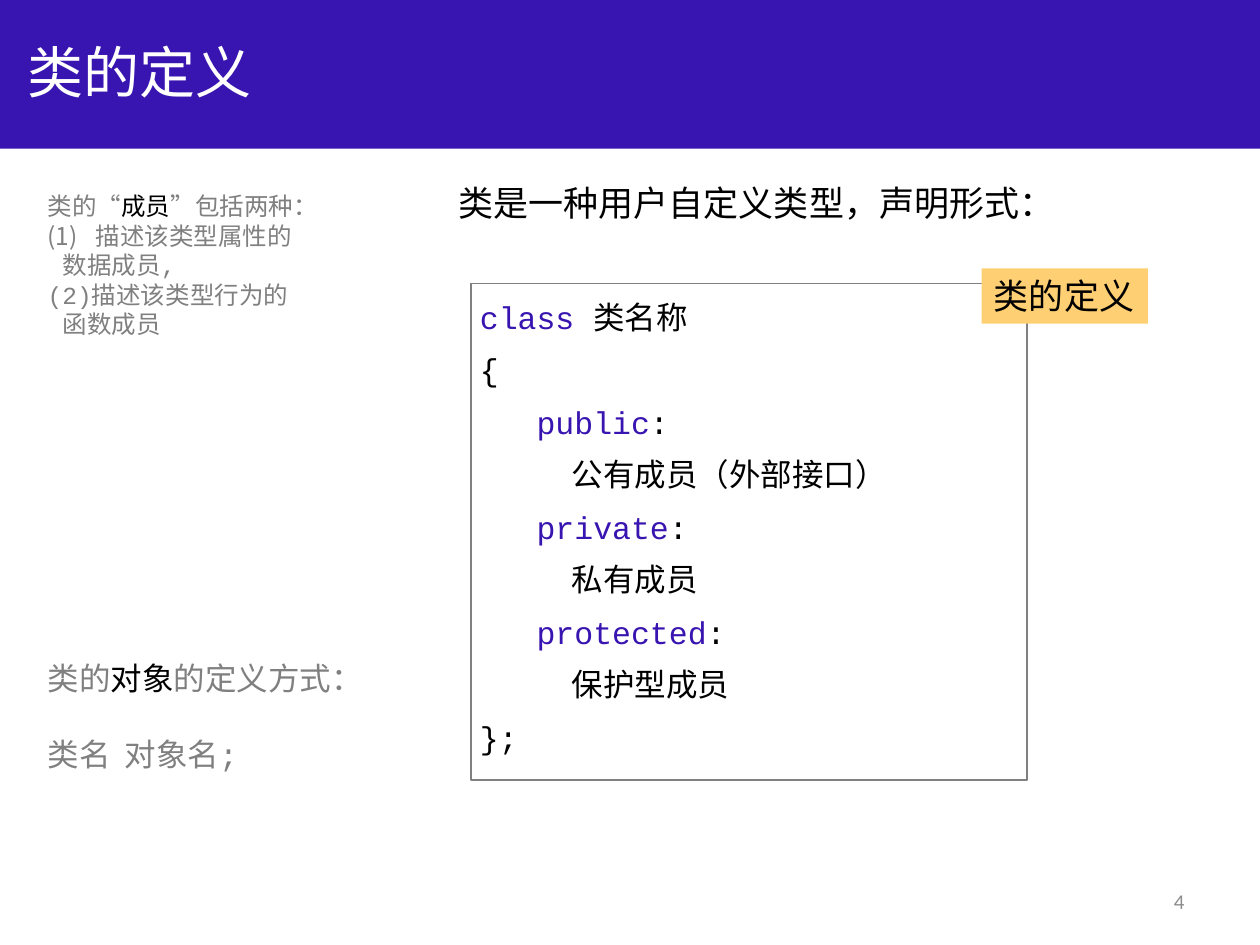
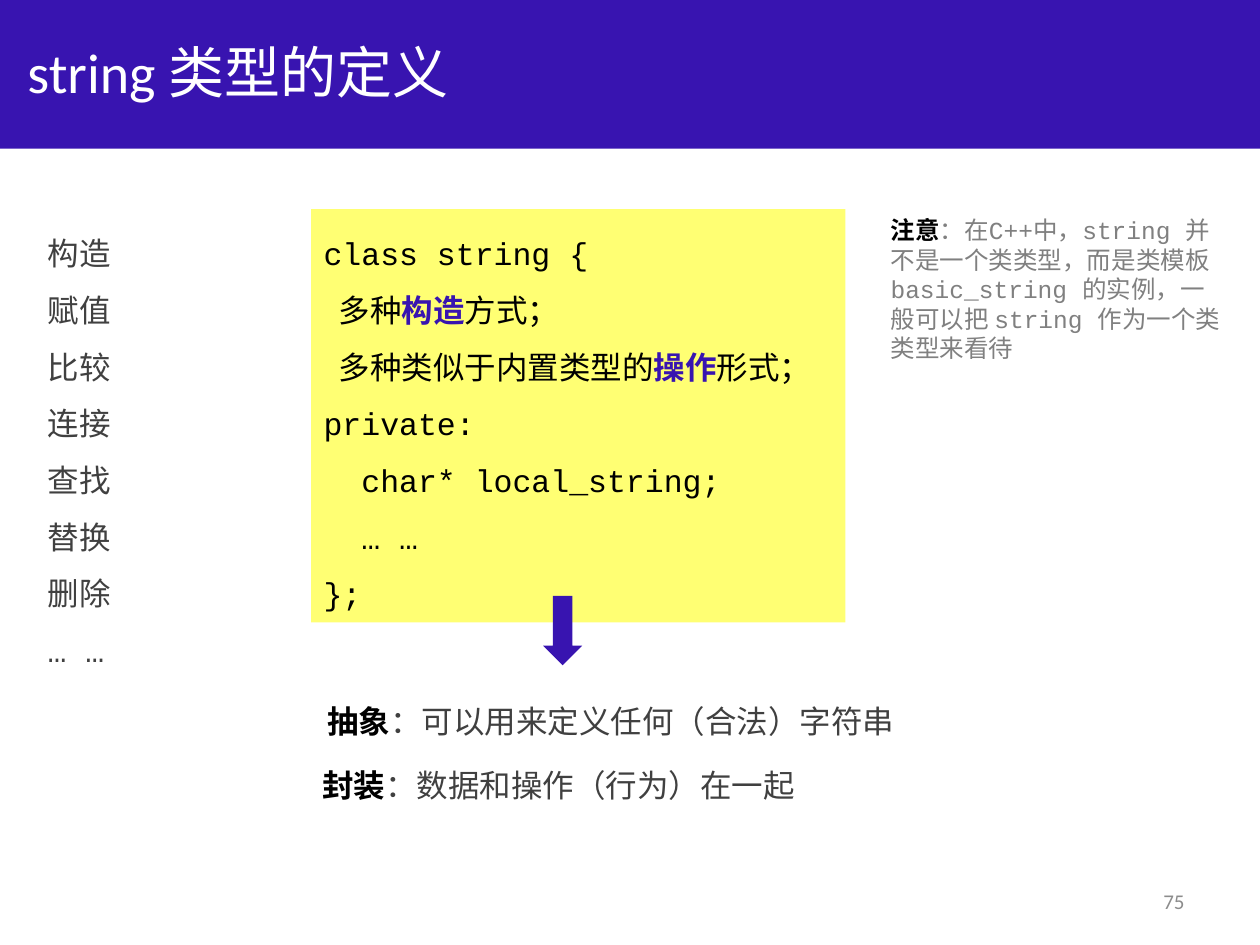
from dataclasses import dataclass

from lxml import etree
from pptx import Presentation
from pptx.dml.color import RGBColor
from pptx.enum import shapes, text
from pptx.oxml import ns
from pptx.util import Inches, Pt

INDIGO = RGBColor(0x38, 0x14, 0xB0)
WHITE = RGBColor(0xFF, 0xFF, 0xFF)
BLACK = RGBColor(0, 0, 0)
GRAY = RGBColor(0x80, 0x80, 0x80)
DARK = RGBColor(0x40, 0x40, 0x40)
PAGE_GRAY = RGBColor(0x8C, 0x8C, 0x8C)
ORANGE = RGBColor(0xFF, 0xD0, 0x73)
YELLOW = RGBColor(0xFF, 0xFF, 0x73)

BODY, CODE, HAN = "Calibri", "Courier New", "Noto Sans CJK SC"
RECT = shapes.MSO_SHAPE.RECTANGLE
ARROW = shapes.MSO_SHAPE.DOWN_ARROW


@dataclass
class Line:
    """One paragraph; each span is (words, colour) or (words, colour, bold)."""
    spans: list
    indent: float = 0
    before: float = 0
    size: float = 18
    font: str = CODE
    numbered: bool = False


# Content of the class definition slide
BASE, KEYWORD, MEMBER = 0.17, 0.62, 0.9
ACCESS = [("public", "公有成员（外部接口）"), ("private", "私有成员"), ("protected", "保护型成员")]

DECLARATION = [
    Line([("类是一种用户自定义类型，声明形式：", BLACK)], size=20, font=HAN),
    Line([("class ", INDIGO), ("类名称", BLACK)], BASE, before=34),
    Line([("{", BLACK)], BASE),
]
for keyword, member in ACCESS:
    DECLARATION += [
        Line([(keyword, INDIGO), (":", BLACK)], KEYWORD),
        Line([(member, BLACK)], MEMBER),
    ]
DECLARATION.append(Line([("};", BLACK)], BASE))

MEMBER_KINDS = [
    Line([("类的“", GRAY), ("成员", BLACK), ("”包括两种：", GRAY)], size=14),
    Line([("描述该类型属性的", GRAY)], 0.38, size=14, numbered=True),
    Line([("数据成员,", GRAY)], 0.12, size=14),
    Line([("(2)描述该类型行为的", GRAY)], size=14),
    Line([("函数成员", GRAY)], 0.12, size=14),
]
OBJECT_FORM = [
    Line([("类的", GRAY), ("对象", BLACK), ("的定义方式：", GRAY)]),
    Line([("类名  对象名;", GRAY)], before=22),
]
LABEL = [Line([("类的定义", BLACK)], size=20, font=HAN)]

# Content of the string slide
STRING_CLASS = [
    Line([("class string {", BLACK)]),
    Line([("多种", BLACK), ("构造", INDIGO, True), ("方式；", BLACK)], 0.12),
    Line([("多种类似于内置类型的", BLACK), ("操作", INDIGO, True), ("形式；", BLACK)], 0.12),
    Line([("private:", BLACK)]),
    Line([("char* local_string;", BLACK)], 0.3),
    Line([("… …", BLACK)], 0.3),
    Line([("};", BLACK)]),
]
OPERATIONS = [Line([(name, DARK)]) for name in
              ("构造", "赋值", "比较", "连接", "查找", "替换", "删除", "… …")]
NOTE = [Line([
    ("注意", BLACK, True),
    ("：在C++中，string 并不是一个类类型，而是类模板 basic_string 的实例，"
     "一般可以把 string 作为一个类类型来看待", GRAY)], size=14)]
TRAITS = [
    ("抽象", "：可以用来定义任何（合法）字符串", (2.5, 5.52, 5.73, 0.4)),
    ("封装", "：数据和操作（行为）在一起", (2.46, 6.03, 4.27, 0.4)),
]


def write(box, lines, leading=None, wrap=True, middle=False, right=False):
    """Fill a box; leading is a line height in points, 1.2 em by default."""
    frame = box.text_frame
    frame.word_wrap = wrap
    frame.vertical_anchor = text.MSO_ANCHOR.MIDDLE if middle else text.MSO_ANCHOR.TOP
    for number, line in enumerate(lines):
        para = frame.add_paragraph() if number else frame.paragraphs[0]
        para.alignment = text.PP_ALIGN.RIGHT if right else text.PP_ALIGN.LEFT
        para.line_spacing = Pt(leading or line.size * 1.2)
        if line.before:
            para.space_before = Pt(line.before)
        properties = para._p.get_or_add_pPr()
        properties.set("marL", str(Inches(line.indent)))
        properties.set("indent", str(-Inches(line.indent) if line.numbered else 0))
        if line.numbered:
            etree.SubElement(properties, ns.qn("a:buAutoNum"), type="arabicParenBoth")
        for words, colour, *bold in line.spans:
            span = para.add_run()
            span.text = words
            span.font.size = Pt(line.size)
            span.font.name = line.font
            span.font.color.rgb = colour
            span.font.bold = bool(bold)
            etree.SubElement(span._r.get_or_add_rPr(), ns.qn("a:ea"), typeface=HAN)


def add_text(page, place, lines, **options):
    box = page.shapes.add_textbox(*map(Inches, place))
    write(box, lines, **options)


def add_block(page, kind, place, fill=None, line=None):
    block = page.shapes.add_shape(kind, *map(Inches, place))
    block.shadow.inherit = False
    if fill is None:
        block.fill.background()
    else:
        block.fill.solid()
        block.fill.fore_color.rgb = fill
    if line is None:
        block.line.fill.background()
    else:
        block.line.color.rgb = line
        block.line.width = Pt(1)
    return block


def add_page(deck, title, number):
    """Blank page with the title band and the page number."""
    page = deck.slides.add_slide(deck.slide_layouts[6])
    add_block(page, RECT, (0, 0, 10, 1.18), INDIGO)
    add_text(page, (0.12, 0.06, 9, 1.01),
             [Line([(title, WHITE)], size=32, font=BODY)], middle=True)
    add_text(page, (7.17, 6.95, 2.33, 0.4),
             [Line([(number, PAGE_GRAY)], size=12, font=BODY)], middle=True, right=True)
    return page


def build_class_page(deck):
    page = add_page(deck, "类的定义", "4")
    add_text(page, (3.54, 1.31, 5.58, 5.98), DECLARATION, leading=30)
    add_text(page, (0.28, 1.47, 2.19, 1.28), MEMBER_KINDS, wrap=False)
    add_text(page, (0.28, 5.18, 2.73, 1.01), OBJECT_FORM, wrap=False)
    # Code frame and its label
    add_block(page, RECT, (3.74, 2.25, 4.41, 3.94), line=GRAY)
    label = add_block(page, RECT, (7.79, 2.13, 1.32, 0.44), ORANGE)
    write(label, LABEL, wrap=False)


def build_string_page(deck):
    page = add_page(deck, "string 类型的定义", "75")
    code = add_block(page, RECT, (2.47, 1.66, 4.24, 3.28), YELLOW)
    write(code, STRING_CLASS, leading=32.4)
    add_text(page, (6.97, 1.66, 2.83, 1.28), NOTE)
    for name, meaning, place in TRAITS:
        add_text(page, place, [Line([(name, BLACK, True), (meaning, DARK)])])
    add_text(page, (0.28, 1.66, 1.02, 3.74), OPERATIONS, leading=32.4)
    add_block(page, ARROW, (4.31, 4.73, 0.31, 0.55), INDIGO)


def main():
    deck = Presentation()
    deck.slide_width, deck.slide_height = Inches(10), Inches(7.5)
    build_class_page(deck)
    build_string_page(deck)
    deck.save("out.pptx")


if __name__ == "__main__":
    main()
